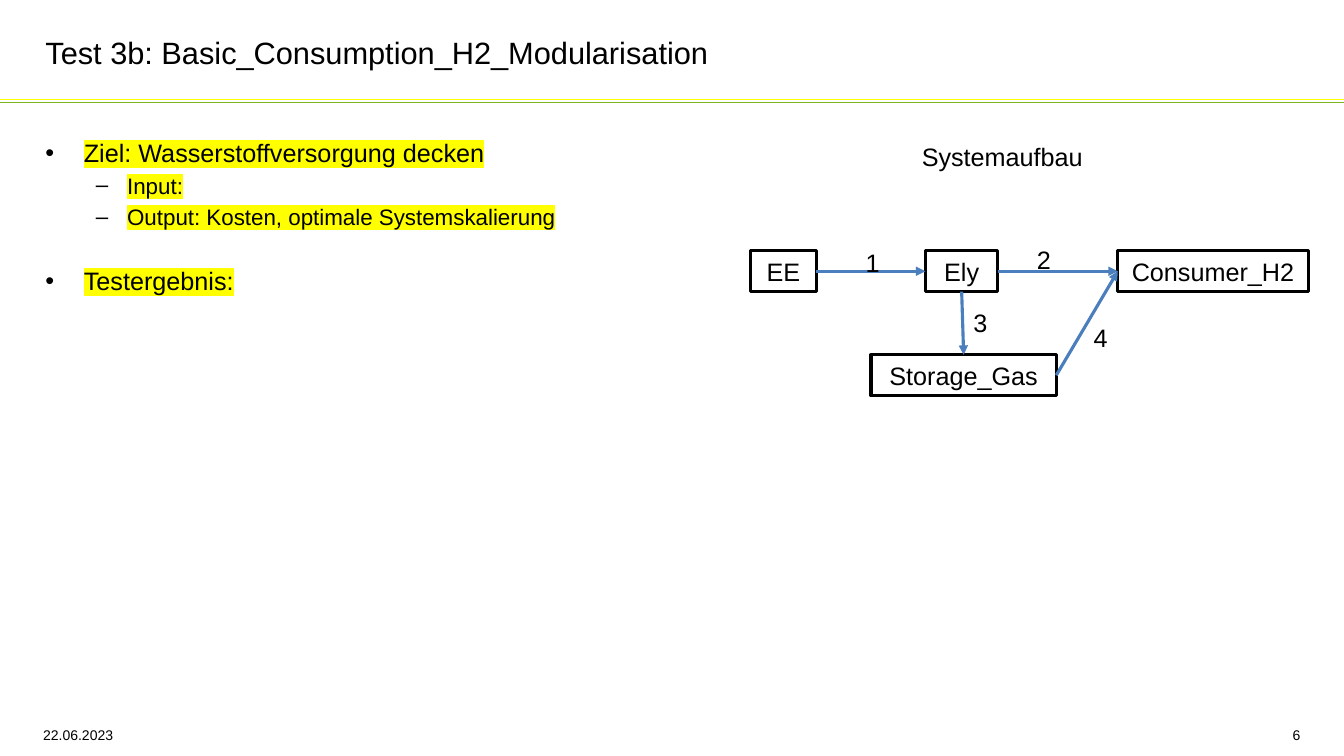
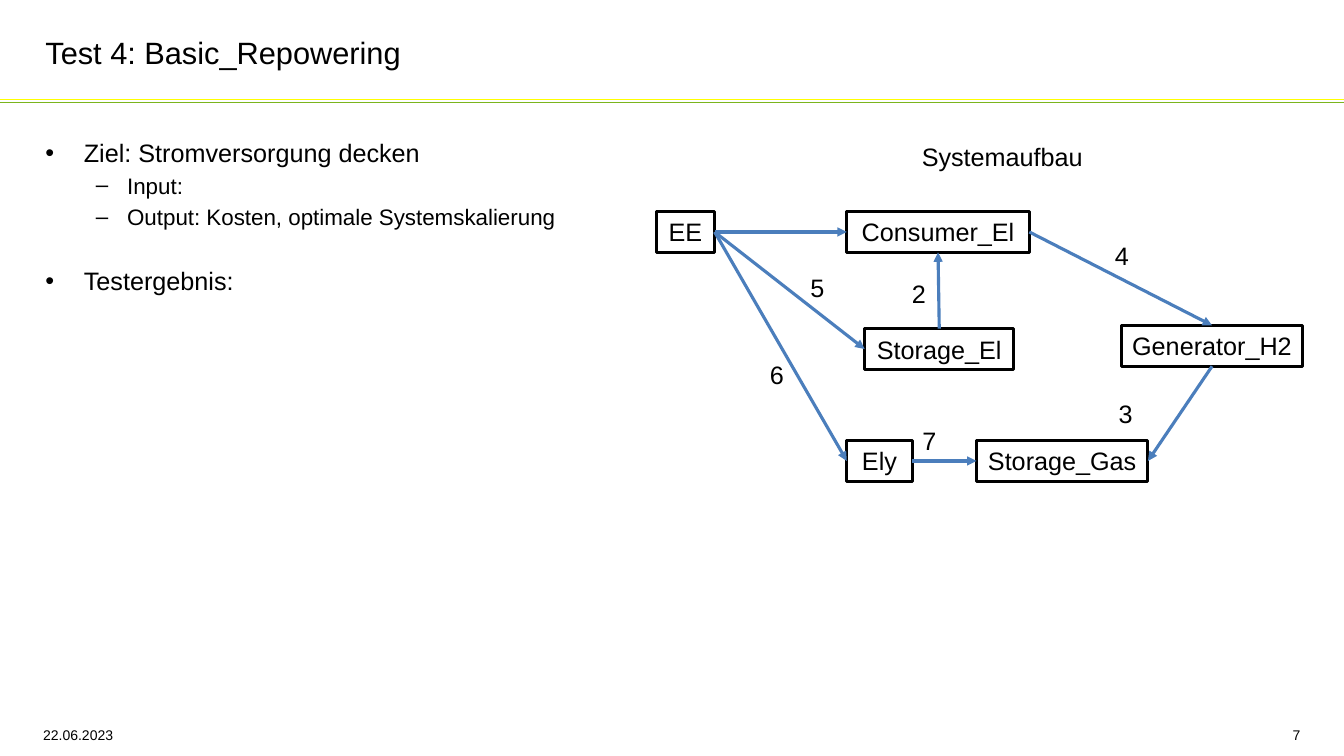
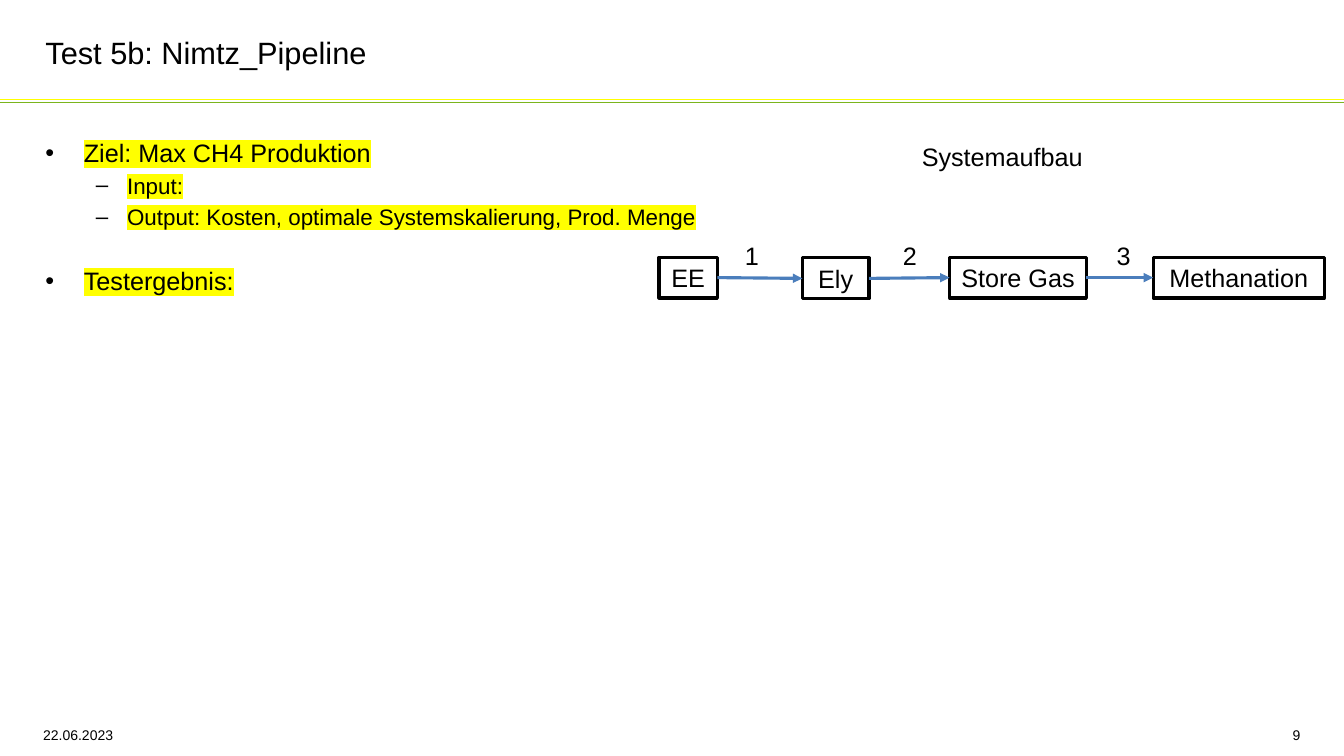
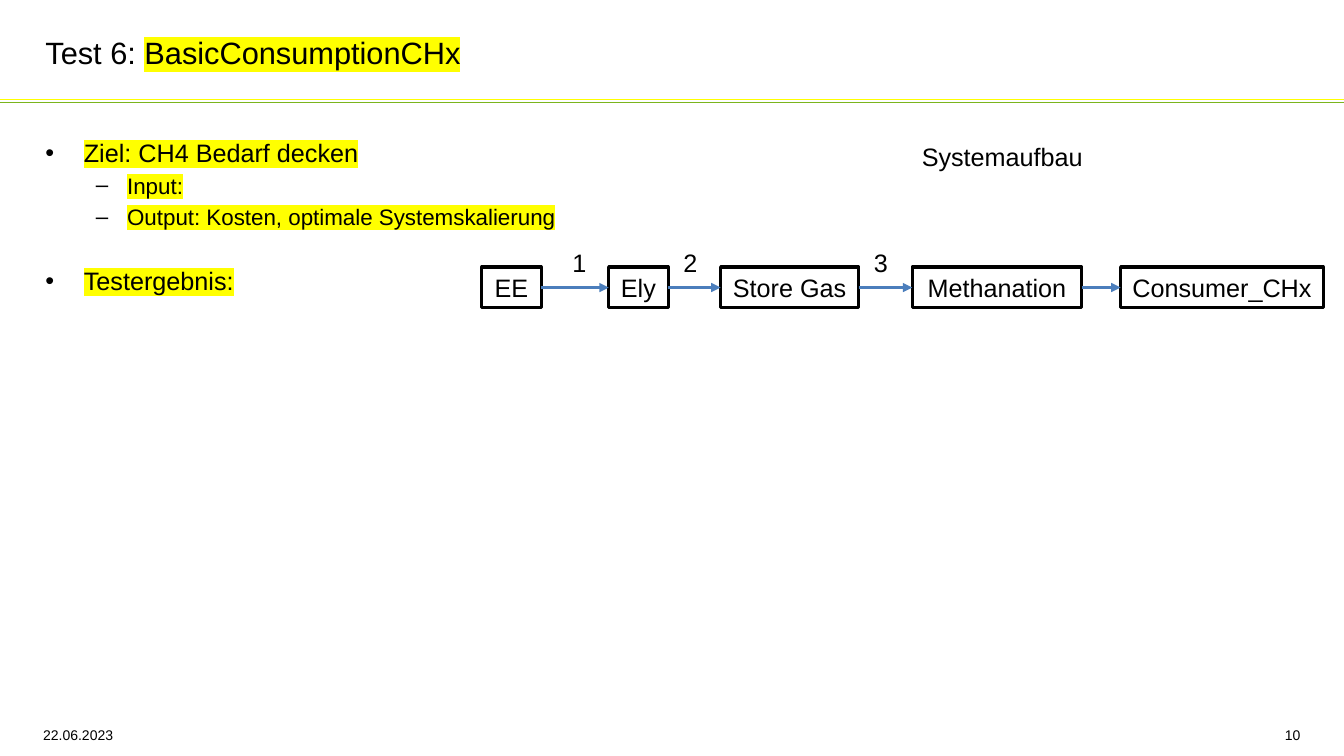
from dataclasses import dataclass

from lxml import etree
from pptx import Presentation
from pptx.dml.color import RGBColor
from pptx.enum.shapes import MSO_CONNECTOR, MSO_SHAPE
from pptx.enum.text import MSO_ANCHOR, MSO_AUTO_SIZE, PP_ALIGN
from pptx.oxml.ns import qn
from pptx.util import Cm, Pt

STRAIGHT = MSO_CONNECTOR.STRAIGHT
RECTANGLE = MSO_SHAPE.RECTANGLE
LEFT, CENTER, RIGHT = PP_ALIGN.LEFT, PP_ALIGN.CENTER, PP_ALIGN.RIGHT
TOP, MIDDLE = MSO_ANCHOR.TOP, MSO_ANCHOR.MIDDLE
FIXED = MSO_AUTO_SIZE.NONE


@dataclass(frozen=True)
class Theme:
    font: str = "Arial"
    text: str = "000000"
    marker: str = "FFFF00"
    rule_yellow: str = "FFFF00"
    rule_green: str = "7AB51D"
    arrow: str = "4B7EBC"
    title_size: float = 22
    main_size: float = 18
    sub_size: float = 16
    footer_size: float = 10
    rule_width: float = 0.25
    diagram_width: float = 2.25


THEME = Theme()
ROW_HEIGHT = 1.03
DATE = "22.06.2023"

# Connection sites of a rectangle
N, W, S, E = range(4)

# Slide content: boxes are name: (left, top, width), labels (text, left, top), in cm
TESTS = [
    dict(
        number=6, title="Test 3b: Basic_Consumption_H2_Modularisation", marked_title="",
        goal="Ziel: Wasserstoffversorgung decken",
        output="Output: Kosten, optimale Systemskalierung", marked=True,
        boxes={"EE": (18.92, 6.32, 1.65), "Storage_Gas": (21.95, 8.94, 4.67),
               "Consumer_H2": (28.17, 6.32, 4.8), "Ely": (23.32, 6.32, 1.83)},
        arrows=[("EE", E, "Ely", W), ("Ely", S, "Storage_Gas", N),
                ("Storage_Gas", E, "Consumer_H2", W), ("Ely", E, "Consumer_H2", W)],
        labels=[("1", 21.56, 6.1), ("2", 25.88, 6.02), ("3", 24.28, 7.62), ("4", 27.31, 8)],
    ),
    dict(
        number=7, title="Test 4: Basic_Repowering", marked_title="",
        goal="Ziel: Stromversorgung decken",
        output="Output: Kosten, optimale Systemskalierung", marked=False,
        boxes={"EE": (16.54, 5.33, 1.47), "Storage_Gas": (24.61, 11.1, 4.32),
               "Generator_H2": (28.27, 8.2, 4.55), "Storage_El": (21.79, 8.28, 3.76),
               "Consumer_El": (21.34, 5.33, 4.6), "Ely": (21.34, 11.1, 1.65)},
        arrows=[("EE", E, "Consumer_El", W), ("EE", E, "Ely", W), ("EE", E, "Storage_El", W),
                ("Generator_H2", S, "Storage_Gas", E), ("Ely", E, "Storage_Gas", W),
                ("Storage_El", N, "Consumer_El", S), ("Consumer_El", E, "Generator_H2", N)],
        labels=[("2", 22.73, 6.88), ("3", 27.94, 9.91), ("4", 27.84, 5.92),
                ("5", 20.17, 6.73), ("6", 19.15, 8.92), ("7", 22.99, 10.59)],
    ),
    dict(
        number=9, title="Test 5b: Nimtz_Pipeline", marked_title="",
        goal="Ziel: Max CH4 Produktion",
        output="Output: Kosten, optimale Systemskalierung, Prod. Menge", marked=True,
        boxes={"EE": (16.61, 6.48, 1.47), "Ely": (20.22, 6.5, 1.68),
               "Store Gas": (23.93, 6.48, 3.45), "Methanation": (29.06, 6.48, 4.32)},
        arrows=[("EE", E, "Ely", W), ("Ely", E, "Store Gas", W),
                ("Store Gas", E, "Methanation", W)],
        labels=[("1", 18.52, 5.94), ("2", 22.5, 5.94), ("3", 27.89, 5.94)],
    ),
    dict(
        number=10, title="Test 6: ", marked_title="BasicConsumptionCHx",
        goal="Ziel: CH4 Bedarf decken",
        output="Output: Kosten, optimale Systemskalierung", marked=True,
        boxes={"EE": (12.14, 6.73, 1.5), "Ely": (15.34, 6.73, 1.5),
               "Store Gas": (18.16, 6.73, 3.48), "Methanation": (22.99, 6.73, 4.27),
               "Consumer_CHx": (28.24, 6.73, 5.11)},
        arrows=[("EE", E, "Ely", W), ("Ely", E, "Store Gas", W),
                ("Store Gas", E, "Methanation", W), ("Methanation", E, "Consumer_CHx", W)],
        labels=[("1", 14.17, 6.12), ("2", 16.97, 6.12), ("3", 21.77, 6.12)],
    ),
]


def write(paragraph, text, size=THEME.main_size, align=LEFT, marked=False):
    """Append a formatted run to a paragraph."""
    paragraph.alignment = align
    run = paragraph.add_run()
    run.text = text
    run.font.size = Pt(size)
    run.font.name = THEME.font
    run.font.color.rgb = RGBColor.from_string(THEME.text)
    if marked:
        highlight = etree.Element(qn("a:highlight"))
        etree.SubElement(highlight, qn("a:srgbClr"), val=THEME.marker)
        run.font.fill  # the highlight follows the fill in the run properties
        run._r.rPr.find(qn("a:solidFill")).addnext(highlight)


def add_line(slide, color, width, start=(0, 0), end=(0, 0)):
    """Draw a straight line without shadow, from start to end in cm."""
    line = slide.shapes.add_connector(STRAIGHT, *map(Cm, start + end))
    line.line.color.rgb = RGBColor.from_string(color)
    line.line.width = Pt(width)
    etree.SubElement(line._element.spPr, qn("a:effectLst"))
    return line


deck = Presentation()
deck.slide_width, deck.slide_height = Cm(33.87), Cm(19.05)
title_and_content = deck.slide_layouts[1]

for test in TESTS:
    slide = deck.slides.add_slide(title_and_content)
    title, body = slide.placeholders

    # Rules below the title
    for color, y in ((THEME.rule_green, 2.57), (THEME.rule_yellow, 2.51)):
        add_line(slide, color, THEME.rule_width, (0, y), (33.87, y))

    # Footer: date and slide number
    for text, left, width, align, insets in (
        (str(test["number"]), 28.17, 4.8, RIGHT, (0.25, 0.2)),
        (DATE, 0.89, 5.41, LEFT, (0.2, 0.25)),
    ):
        footer = slide.shapes.add_textbox(Cm(left), Cm(18.19), Cm(width), Cm(0.71)).text_frame
        footer.word_wrap = True
        footer.margin_left, footer.margin_right = map(Cm, insets)
        write(footer.paragraphs[0], text, size=THEME.footer_size, align=align)

    # Title and list placeholders
    for holder, place, anchor in (
        (title, (0.89, 0.13, 24.08, 2.39), MIDDLE),
        (body, (0.89, 3.33, 31.9, 14), TOP),
    ):
        holder.left, holder.top, holder.width, holder.height = map(Cm, place)
        holder.text_frame.auto_size = FIXED
        holder.text_frame.vertical_anchor = anchor

    heading = title.text_frame.paragraphs[0]
    write(heading, test["title"], size=THEME.title_size)
    if test["marked_title"]:
        write(heading, test["marked_title"], size=THEME.title_size, marked=True)

    # Goal, input, output and result: text, level, space before
    for index, (text, level, space) in enumerate((
        (test["goal"], 0, 3.6),
        ("Input:", 1, 3.2),
        (test["output"], 1, 3.2),
        ("Testergebnis:", 0, 25.2),
    )):
        points = body.text_frame
        point = points.add_paragraph() if index else points.paragraphs[0]
        point.level = level
        point.space_before = Pt(space)
        margin, hanging = ((0.97, 0.97), (2.06, 0.79))[level]
        properties = point._p.get_or_add_pPr()
        properties.set("marL", str(Cm(margin)))
        properties.set("indent", str(-Cm(hanging)))
        size = THEME.sub_size if level else THEME.main_size
        write(point, text, size=size, marked=test["marked"])

    # System diagram: boxes
    boxes = {}
    for name, (left, top, width) in test["boxes"].items():
        box = slide.shapes.add_shape(RECTANGLE, Cm(left), Cm(top), Cm(width), Cm(ROW_HEIGHT))
        box.shadow.inherit = False
        box.fill.background()
        box.line.color.rgb = RGBColor.from_string(THEME.text)
        box.line.width = Pt(THEME.diagram_width)
        box.text_frame.word_wrap = False
        write(box.text_frame.paragraphs[0], name, align=CENTER)
        boxes[name] = box

    # System diagram: arrows glued to the boxes
    for source, source_side, target, target_side in test["arrows"]:
        arrow = add_line(slide, THEME.arrow, THEME.diagram_width)
        arrow.begin_connect(boxes[source], source_side)
        arrow.end_connect(boxes[target], target_side)
        etree.SubElement(arrow.line._get_or_add_ln(), qn("a:tailEnd"), type="triangle")

    # System diagram: heading and arrow numbers
    captions = [(text, left, top, 0.86) for text, left, top in test["labels"]]
    for text, left, top, width in captions + [("Systemaufbau", 22.96, 3.43, 4.6)]:
        caption = slide.shapes.add_textbox(Cm(left), Cm(top), Cm(width), Cm(ROW_HEIGHT)).text_frame
        caption.word_wrap = False
        write(caption.paragraphs[0], text, align=CENTER)

deck.save("out.pptx")
